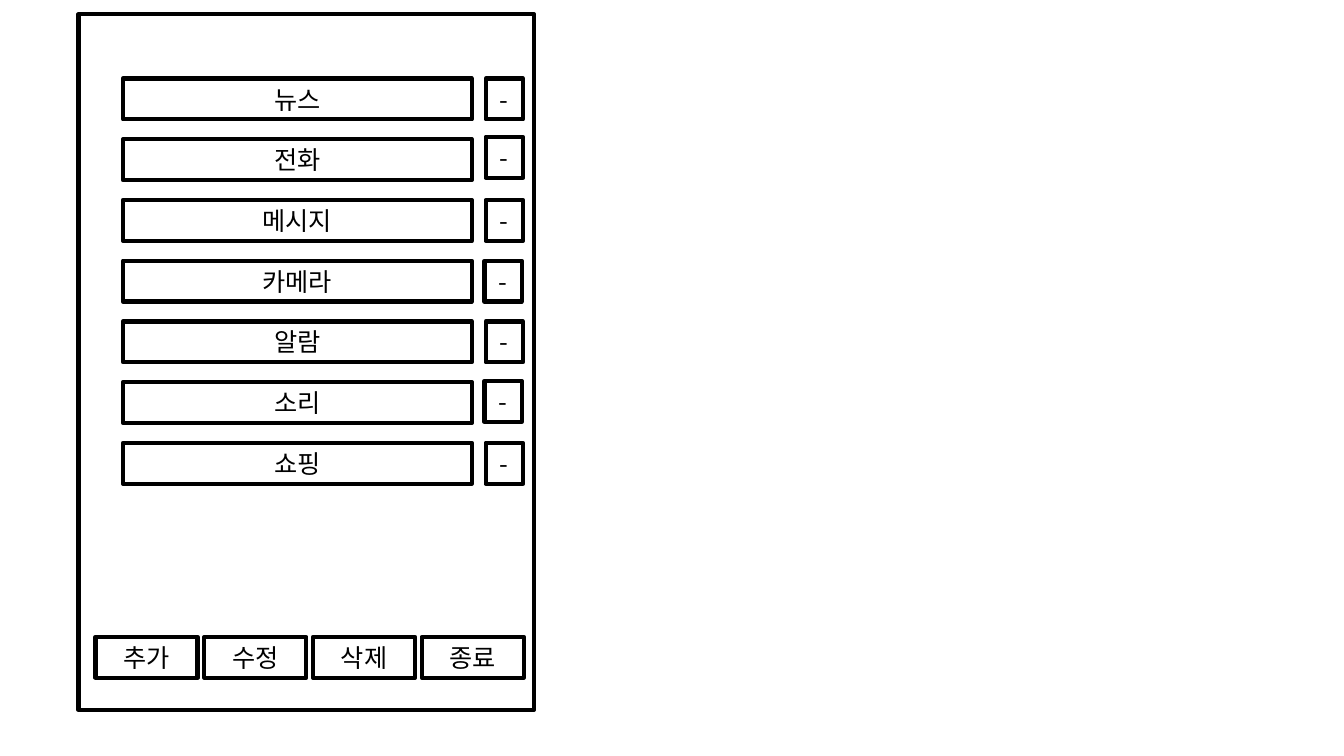
from dataclasses import dataclass

from lxml.etree import SubElement
from pptx import Presentation
from pptx.dml.color import RGBColor
from pptx.enum.shapes import MSO_SHAPE
from pptx.enum.text import MSO_ANCHOR, PP_ALIGN
from pptx.oxml.ns import qn
from pptx.util import Cm, Pt


@dataclass(frozen=True)
class Theme:
    """Colours, type and line sizes of the slide."""
    ink: RGBColor = RGBColor(0, 0, 0)
    font: str = "Noto Sans CJK KR"
    size: int = 18
    line: int = 3


def apply(item, style):
    """Set each attribute named in a dict of format values."""
    for name, value in style.items():
        setattr(item, name, value)


class Sketch:
    """Draws outlined boxes on one slide in one theme."""

    def __init__(self, slide, theme):
        """Keep the slide and the theme."""
        self.slide = slide
        self.theme = theme

    def frame(self, left, top, width, height):
        """Add an unfilled outlined box, measured in centimetres."""
        sides = (Cm(side) for side in (left, top, width, height))
        box = self.slide.shapes.add_shape(MSO_SHAPE.RECTANGLE, *sides)
        box.shadow.inherit = False
        box.fill.background()
        box.line.color.rgb = self.theme.ink
        box.line.width = Pt(self.theme.line)
        return box

    def label(self, text, *sides):
        """Add an outlined box with centred text."""
        body = self.frame(*sides).text_frame
        apply(body, {"word_wrap": True, "vertical_anchor": MSO_ANCHOR.MIDDLE,
                     "margin_top": 0, "margin_bottom": 0})
        para = body.paragraphs[0]
        para.alignment = PP_ALIGN.CENTER
        run = para.add_run()
        run.text = text
        apply(run.font, {"size": Pt(self.theme.size), "name": self.theme.font})
        run.font.color.rgb = self.theme.ink
        SubElement(run._r.get_or_add_rPr(), qn("a:ea"),
                   typeface=self.theme.font)


ITEMS = ("뉴스", "전화", "메시지", "카메라", "알람", "소리", "쇼핑")
ACTIONS = ("추가", "수정", "삭제", "종료")
HEIGHT = 1.03
TOP, ROW_STEP = 1.98, 1.53
LEFT, COL_STEP = 2.41, 2.74
NUDGE = {1: (0, -0.06), 3: (-0.03, 0), 5: (-0.03, -0.03)}


def main():
    """Build the phone menu and save it."""
    deck = Presentation()
    apply(deck, {"slide_width": Cm(33.87), "slide_height": Cm(19.05)})
    sketch = Sketch(deck.slides.add_slide(deck.slide_layouts[6]), Theme())

    sketch.frame(1.98, 0.36, 11.48, 17.53)
    for row, item in enumerate(ITEMS):
        top = TOP + row * ROW_STEP
        shift, drop = NUDGE.get(row, (0, 0))
        sketch.label(item, 3.1, top, 8.79, HEIGHT)
        sketch.label("-", 12.24 + shift, top + drop, 0.94, HEIGHT)
    for col, action in enumerate(ACTIONS):
        sketch.label(action, LEFT + col * COL_STEP, 16.05, 2.57, HEIGHT)

    deck.save("out.pptx")


main()
